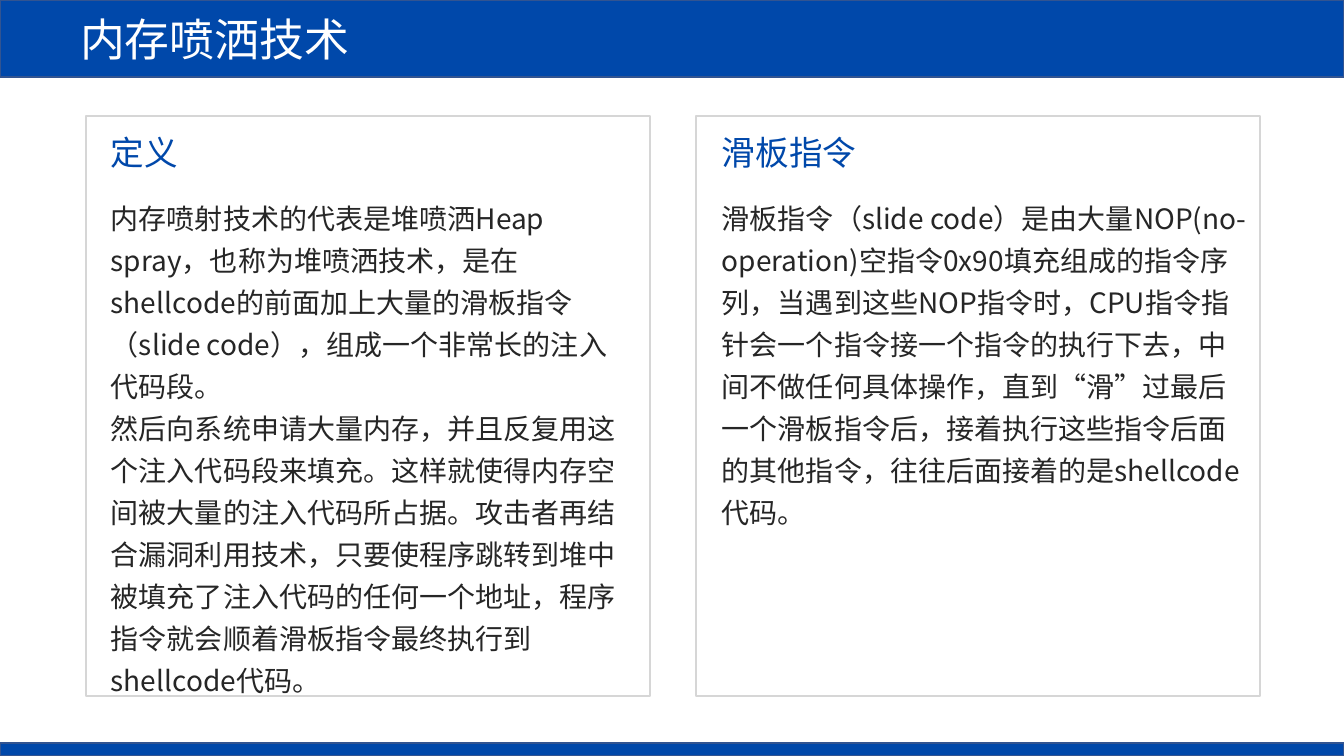
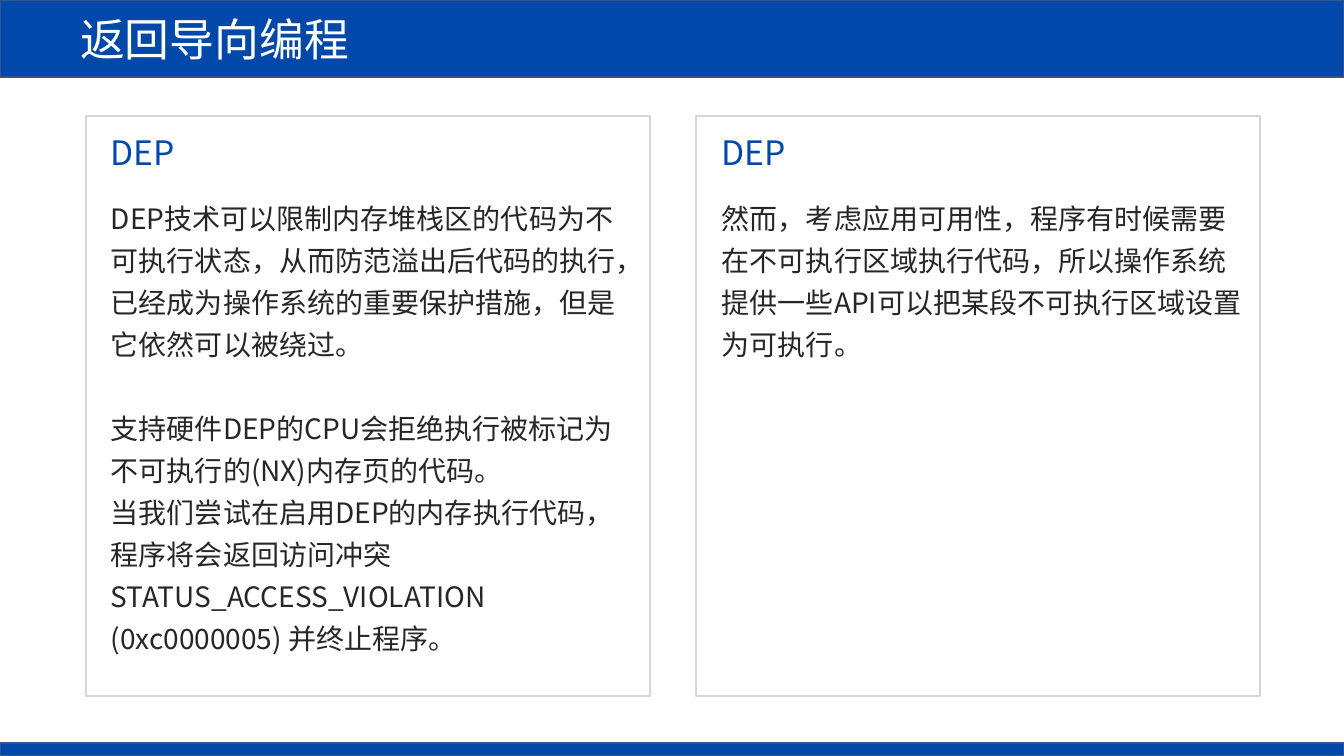
from lxml import etree
from pptx import Presentation
from pptx import util as u
from pptx.dml.color import RGBColor
from pptx.enum import shapes, text
from pptx.oxml.ns import qn

BLUE = RGBColor(0x00, 0x48, 0xAA)
EDGE = RGBColor(0x32, 0x54, 0x91)
GREY = RGBColor(0xD6, 0xD6, 0xD6)
INK = RGBColor(0x26, 0x26, 0x26)
WHITE = RGBColor(0xFF, 0xFF, 0xFF)
FONT = "Noto Sans CJK SC"

WIDE, HIGH = 1344, 756
HEAD, FOOT = 77, 13
TOP, CARD_W, CARD_H = 116, 564, 580
# card left, text left, text width
COLS = [(86, 101, 541), (696, 712, 547)]

# Each card: heading, then (paragraph, points of space before)
SLIDES = [
    ("内存喷洒技术", [
        ("定义", [
            ("内存喷射技术的代表是堆喷洒Heap spray，也称为堆喷洒技术，是在shellcode的前面加上大量的滑板指令（slide code），组成一个非常长的注入代码段。", 0),
            ("然后向系统申请大量内存，并且反复用这个注入代码段来填充。这样就使得内存空间被大量的注入代码所占据。攻击者再结合漏洞利用技术，只要使程序跳转到堆中被填充了注入代码的任何一个地址，程序指令就会顺着滑板指令最终执行到shellcode代码。", 0),
        ]),
        ("滑板指令", [
            ("滑板指令（slide code）是由大量NOP(no-operation)空指令0x90填充组成的指令序列，当遇到这些NOP指令时，CPU指令指针会一个指令接一个指令的执行下去，中间不做任何具体操作，直到“滑”过最后一个滑板指令后，接着执行这些指令后面的其他指令，往往后面接着的是shellcode代码。", 0),
        ]),
    ]),
    ("返回导向编程", [
        ("DEP", [
            ("DEP技术可以限制内存堆栈区的代码为不可执行状态，从而防范溢出后代码的执行，已经成为操作系统的重要保护措施，但是它依然可以被绕过。", 0),
            ("支持硬件DEP的CPU会拒绝执行被标记为不可执行的(NX)内存页的代码。", 30),
            ("当我们尝试在启用DEP的内存执行代码，程序将会返回访问冲突STATUS_ACCESS_VIOLATION (0xc0000005) 并终止程序。", 0),
        ]),
        ("DEP", [
            ("然而，考虑应用可用性，程序有时候需要在不可执行区域执行代码，所以操作系统提供一些API可以把某段不可执行区域设置为可执行。", 0),
        ]),
    ]),
]


def px(n):
    return u.Emu(round(n * 914400 / 100.8))


def write(frame, paras, size, color, spacing=1.0, wrap=True):
    frame.word_wrap = wrap
    for i, (words, gap) in enumerate(paras):
        para = frame.paragraphs[0] if i == 0 else frame.add_paragraph()
        para.alignment = text.PP_ALIGN.LEFT
        para.line_spacing = spacing
        if gap:
            para.space_before = u.Pt(gap)
        run = para.add_run()
        run.text = words
        font = run.font
        font.size, font.name = u.Pt(size), FONT
        font.color.rgb = color
        etree.SubElement(run._r.get_or_add_rPr(), qn("a:ea"), typeface=FONT)


def paint(shape, line, fill=None):
    if fill is None:
        shape.fill.background()
    else:
        shape.fill.solid()
        shape.fill.fore_color.rgb = fill
    shape.line.color.rgb = line
    shape.line.width = u.Pt(1)


def rect(slide, x, y, w, h, line, fill=None):
    shape = slide.shapes.add_shape(
        shapes.MSO_SHAPE.RECTANGLE, px(x), px(y), px(w), px(h))
    shape.shadow.inherit = False
    paint(shape, line, fill)


def label(slide, x, y, w, h, paras, **style):
    box = slide.shapes.add_textbox(px(x), px(y), px(w), px(h))
    write(box.text_frame, paras, **style)


def frame(slide, words):
    """Draw the title band and the footer band."""
    title = slide.shapes.title
    title.left, title.top = px(0), px(0)
    title.width, title.height = px(WIDE), px(HEAD)
    paint(title, EDGE, BLUE)
    body = title.text_frame
    body.auto_size = text.MSO_AUTO_SIZE.NONE
    body.vertical_anchor = text.MSO_ANCHOR.MIDDLE
    body.margin_left = px(80)
    write(body, [(words, 0)], size=32, color=WHITE)
    rect(slide, 0, HIGH - FOOT, WIDE, FOOT, EDGE, BLUE)


def main():
    deck = Presentation()
    deck.slide_width, deck.slide_height = px(WIDE), px(HIGH)
    for title, cards in SLIDES:
        slide = deck.slides.add_slide(deck.slide_layouts[5])
        frame(slide, title)
        for (left, inner, width), (head, paras) in zip(COLS, cards):
            rect(slide, left, TOP, CARD_W, CARD_H, GREY)
            label(slide, inner, TOP + 11, width, 50, [(head, 0)],
                  size=24, color=BLUE, wrap=False)
            label(slide, inner, TOP + 72, width, 473, paras,
                  size=20, color=INK, spacing=1.25)
    deck.save("out.pptx")


if __name__ == "__main__":
    main()
